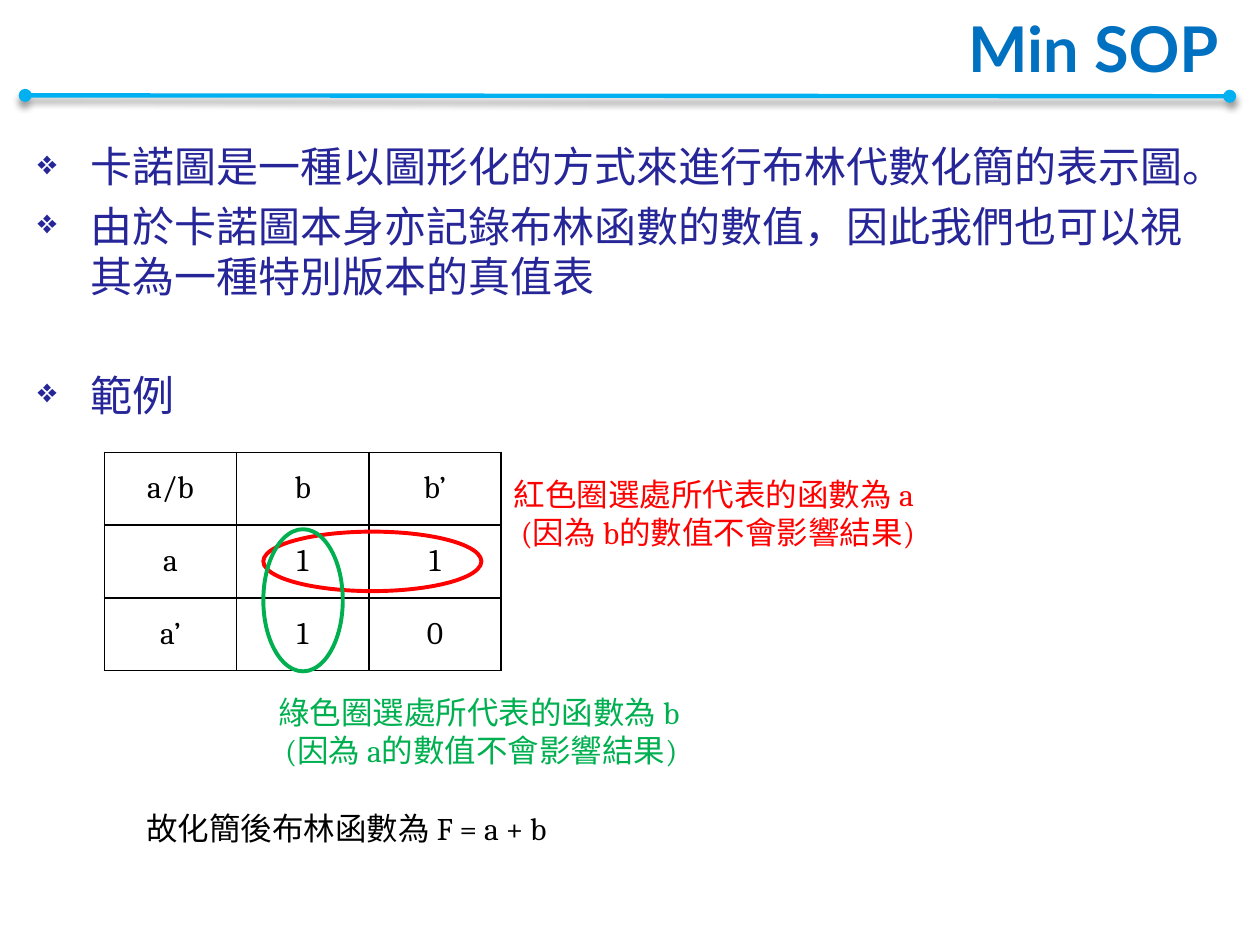
from lxml import etree
from pptx import Presentation
from pptx.dml.color import RGBColor
from pptx.enum import shapes as sh, text as tx
from pptx.oxml.ns import qn
from pptx.util import Pt

FONT = "Cambria"
RED, GREEN, BLACK = "FF0000", "00B050", "000000"
NAVY, BLUE, SKY = "262699", "0070C0", "00B0F0"


def color(code):
    return RGBColor.from_string(code)


def node(top, tag, **atts):
    return etree.SubElement(top, qn(tag), atts)


def add_run(para, words, size, code, font=FONT, bold=False):
    run = para.add_run()
    run.text = words
    run.font.size = Pt(size)
    run.font.name = font
    run.font.bold = bold
    run.font.color.rgb = color(code)


def add_box(slide, x, y, w, h):
    frame = slide.shapes.add_textbox(Pt(x), Pt(y), Pt(w), Pt(h)).text_frame
    frame.word_wrap = True
    return frame


def add_title(slide, words):
    frame = add_box(slide, 14.4, 3.6, 689, 46.8)
    frame.vertical_anchor = tx.MSO_ANCHOR.MIDDLE
    para = frame.paragraphs[0]
    para.alignment = tx.PP_ALIGN.RIGHT
    add_run(para, words, 36, BLUE, "Lato", True)


def add_rule(slide):
    line = slide.shapes.add_connector(
        sh.MSO_CONNECTOR.STRAIGHT, Pt(702.7), Pt(55), Pt(14.4), Pt(54.5))
    line.line.color.rgb = color(SKY)
    line.line.width = Pt(2.5)
    ln = line.line._get_or_add_ln()
    node(ln, "a:headEnd", type="oval")
    node(ln, "a:tailEnd", type="oval")
    fx = node(line._element.spPr, "a:effectLst")
    shade = node(fx, "a:outerShdw", blurRad=str(Pt(4)), dist=str(Pt(3)),
                 dir="5400000", rotWithShape="0")
    node(node(shade, "a:srgbClr", val=BLACK), "a:alpha", val="40000")


def add_list(slide, items):
    frame = add_box(slide, 14.4, 77, 690.5, 450)
    for i, (words, gap) in enumerate(items):
        para = frame.paragraphs[0] if i == 0 else frame.add_paragraph()
        para.space_before = Pt(gap)
        props = para._p.get_or_add_pPr()
        props.set("marL", str(Pt(30)))
        props.set("indent", str(Pt(-30)))
        node(props, "a:buSzPct", val="80000")
        node(props, "a:buChar", char="❖")
        add_run(para, words, 24, NAVY)


def add_note(slide, x, y, w, h, code, lines):
    frame = add_box(slide, x, y, w, h)
    for i, words in enumerate(lines):
        para = frame.paragraphs[0] if i == 0 else frame.add_paragraph()
        add_run(para, words, 18, code)


def add_edges(cell):
    props = cell._tc.get_or_add_tcPr()
    for i, side in enumerate(("a:lnL", "a:lnR", "a:lnT", "a:lnB")):
        edge = node(props, side, w=str(Pt(1)))
        node(node(edge, "a:solidFill"), "a:srgbClr", val=BLACK)
        props.insert(i, edge)


def add_map(slide, rows):
    wide, high = 75.6, 41.6
    table = slide.shapes.add_table(
        len(rows), len(rows[0]), Pt(59.6), Pt(258.5),
        Pt(wide * len(rows[0])), Pt(high * len(rows))).table
    table.first_row = table.horz_banding = False
    for col in table.columns:
        col.width = Pt(wide)
    for r, row in enumerate(rows):
        table.rows[r].height = Pt(high)
        for c, words in enumerate(row):
            cell = table.cell(r, c)
            cell.fill.background()
            cell.vertical_anchor = tx.MSO_ANCHOR.MIDDLE
            para = cell.text_frame.paragraphs[0]
            para.alignment = tx.PP_ALIGN.CENTER
            add_run(para, words, 18, BLACK)
            add_edges(cell)


def add_ring(slide, x, y, w, h, code):
    ring = slide.shapes.add_shape(
        sh.MSO_SHAPE.OVAL, Pt(x), Pt(y), Pt(w), Pt(h))
    ring.shadow.inherit = False
    ring.fill.background()
    ring.line.color.rgb = color(code)
    ring.line.width = Pt(2.25)


def main():
    deck = Presentation()
    deck.slide_width, deck.slide_height = Pt(720), Pt(540)
    slide = deck.slides.add_slide(deck.slide_layouts[6])
    add_rule(slide)
    add_title(slide, "Min SOP")
    add_list(slide, [
        ("卡諾圖是一種以圖形化的方式來進行布林代數化簡的表示圖。", 5),
        ("由於卡諾圖本身亦記錄布林函數的數值，因此我們也可以視其為一種特別版本的真值表", 5),
        ("範例", 39)])
    add_map(slide, [("a/b", "b", "b’"), ("a", "1", "1"), ("a’", "1", "0")])
    add_ring(slide, 150.5, 303.8, 124.6, 34, RED)
    add_note(slide, 286.6, 267.8, 246.2, 51, RED,
             ["紅色圈選處所代表的函數為 a", " (因為 b的數值不會影響結果)"])
    add_ring(slide, 150.5, 302.4, 45.4, 81.2, GREEN)
    add_note(slide, 151.9, 392.4, 254.9, 51, GREEN,
             ["綠色圈選處所代表的函數為 b", " (因為 a的數值不會影響結果)"])
    add_note(slide, 76.5, 458.6, 247, 29, BLACK,
             ["故化簡後布林函數為 F = a + b"])
    deck.save("out.pptx")


if __name__ == "__main__":
    main()
